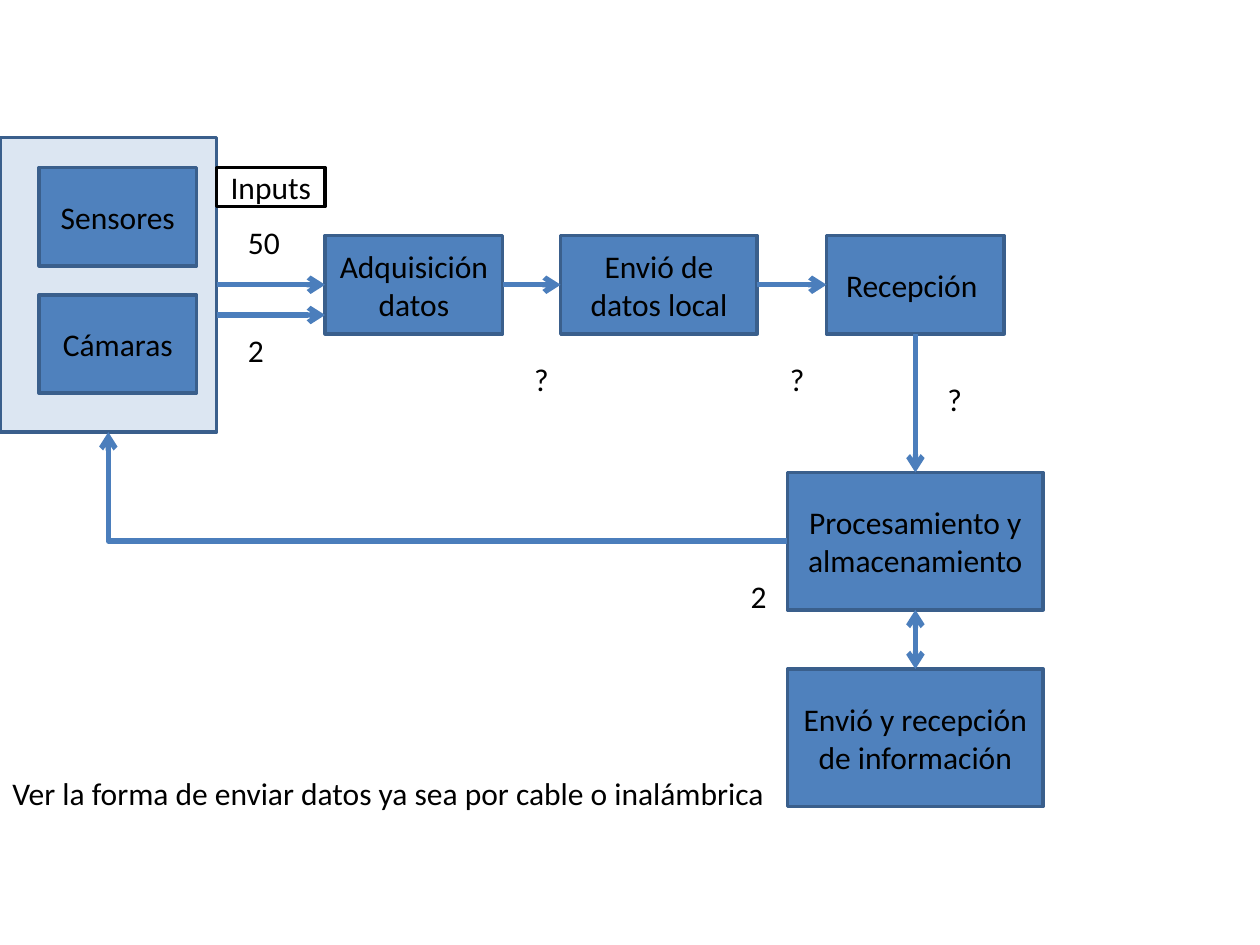
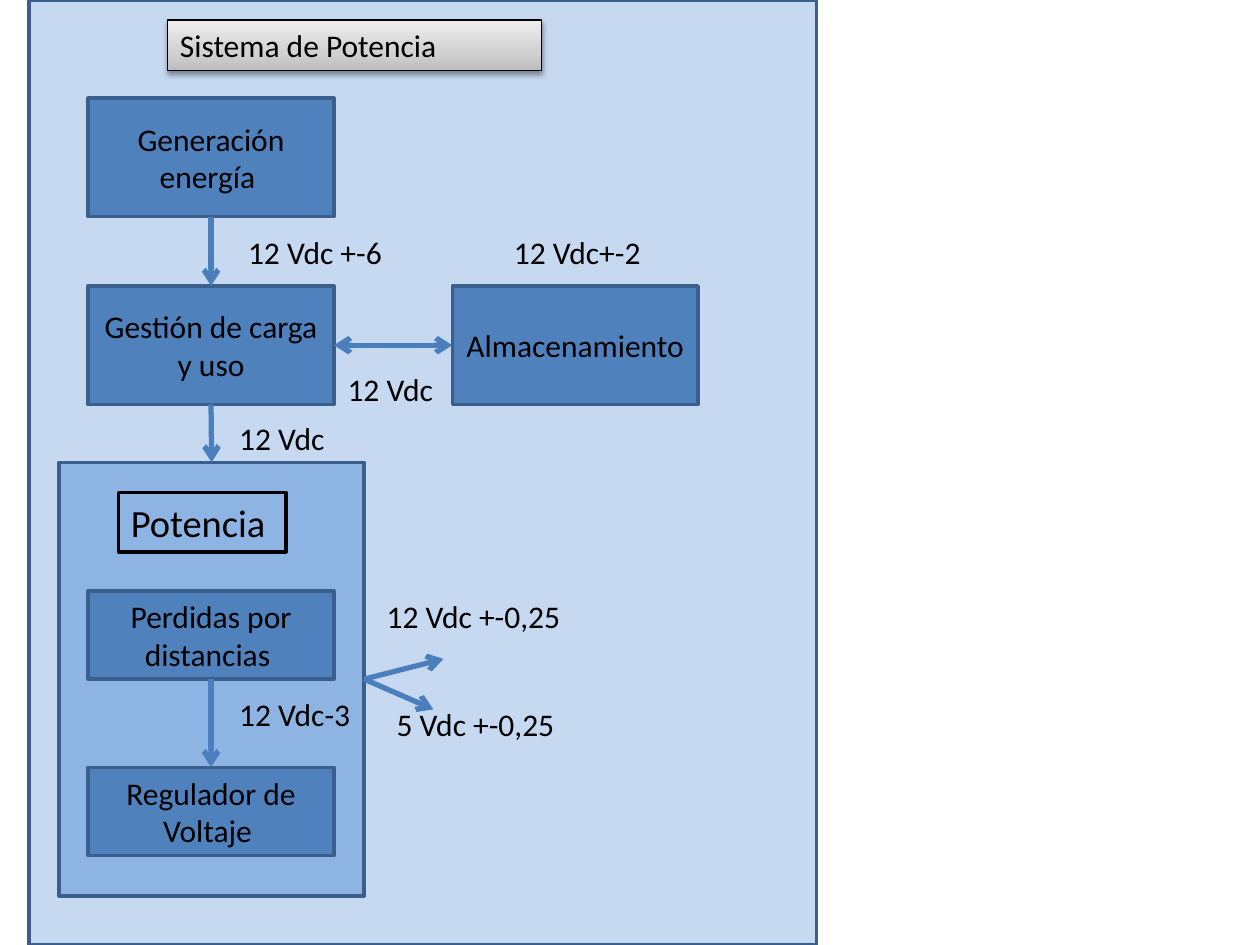
from copy import deepcopy

from lxml.etree import SubElement
from pptx import Presentation
from pptx.dml.color import RGBColor
from pptx.enum.shapes import MSO_CONNECTOR as Route, MSO_SHAPE as Preset
from pptx.enum.text import MSO_ANCHOR as Anchor, MSO_AUTO_SIZE as AutoSize, PP_ALIGN as Align
from pptx.oxml.ns import qn
from pptx.util import Inches, Pt

TOP, LEFT, BOTTOM, RIGHT = range(4)


def rgb(hex_string):
    return RGBColor.from_string(hex_string)


class Diagram:
    FONT = "Calibri"
    BLACK = "000000"
    STEP_FILL = "4F81BD"
    EDGE = "3A5F8C"
    ARROW = "4B7EBC"

    def __init__(self):
        self.deck = Presentation()
        self.deck.slide_width, self.deck.slide_height = Inches(10), Inches(7.5)
        self.slide = None

    def new_slide(self):
        self.slide = self.deck.slides.add_slide(self.deck.slide_layouts[6])

    def add_text(self, frame, text, size=18, align=Align.LEFT, anchor=Anchor.TOP):
        frame.vertical_anchor = anchor
        paragraph = frame.paragraphs[0]
        paragraph.alignment = align
        run = paragraph.add_run()
        run.text = text
        run.font.name, run.font.size = self.FONT, Pt(size)
        run.font.color.rgb = rgb(self.BLACK)

    def panel(self, left, top, width, height, fill=None, edge=EDGE, weight=2):
        """Draw a plain rectangle; without a fill it is see-through."""
        area = self.slide.shapes.add_shape(
            Preset.RECTANGLE, *map(Inches, (left, top, width, height)))
        area.shadow.inherit = False
        if fill:
            area.fill.solid()
            area.fill.fore_color.rgb = rgb(fill)
        else:
            area.fill.background()
        area.line.color.rgb = rgb(edge)
        area.line.width = Pt(weight)
        return area

    def step(self, text, left, top, width, height, fill=STEP_FILL, edge=EDGE):
        """Draw a rectangle with its text in the middle."""
        block = self.panel(left, top, width, height, fill, edge)
        self.add_text(block.text_frame, text, align=Align.CENTER, anchor=Anchor.MIDDLE)
        return block

    def label(self, text, left, top, width):
        caption = self.slide.shapes.add_textbox(*map(Inches, (left, top, width, 0.4)))
        caption.text_frame.word_wrap = False
        caption.text_frame.auto_size = AutoSize.SHAPE_TO_FIT_TEXT
        self.add_text(caption.text_frame, text)

    def heading(self, text, left, top, width, height, fill, size=18, weight=2.0):
        title = self.panel(left, top, width, height, fill, self.BLACK, weight)
        self.add_text(title.text_frame, text, size)
        return title

    def gradient(self, shape, stops):
        """Fill from bottom to top with three (position, colour) stops."""
        shape.fill.gradient()
        shape.fill.gradient_angle = 90
        first = shape._element.spPr.find(".//" + qn("a:gs"))
        first.addnext(deepcopy(first))
        for stop, (position, color) in zip(shape.fill.gradient_stops, stops):
            stop.position = position
            stop.color.rgb = rgb(color)

    def drop_shadow(self, shape):
        effects = shape._element.spPr.find(qn("a:effectLst"))
        shadow = SubElement(effects, qn("a:outerShdw"), blurRad=str(Pt(3.1)),
                            dist=str(Pt(1.6)), dir="5400000", rotWithShape="0")
        color = SubElement(shadow, qn("a:srgbClr"), val=self.BLACK)
        SubElement(color, qn("a:alpha"), val="38000")

    def arrow(self, start, end, both=False, elbow=False):
        """Join two ends, each an (x, y) point or a (shape, side) pair."""
        points = [place if isinstance(place[0], (int, float)) else (0, 0)
                  for place in (start, end)]
        link = self.slide.shapes.add_connector(
            Route.ELBOW if elbow else Route.STRAIGHT,
            *(Inches(value) for point in points for value in point))
        if points[0] != start:
            link.begin_connect(*start)
        if points[1] != end:
            link.end_connect(*end)
        link.line.color.rgb = rgb(self.ARROW)
        link.line.width = Pt(3)
        properties = link._element.spPr
        if elbow:
            properties.find(qn("a:prstGeom")).set("prst", "bentConnector2")
        outline = properties.find(qn("a:ln"))
        for tip in ("a:headEnd", "a:tailEnd") if both else ("a:tailEnd",):
            SubElement(outline, qn(tip), type="arrow")
        SubElement(properties, qn("a:effectLst"))


def data_flow(d):
    d.new_slide()
    sources = d.panel(0, 1.09, 1.72, 2.34, "DCE6F2")
    for text, top in (("Sensores", 1.33), ("Cámaras", 2.34)):
        d.step(text, 0.31, top, 1.25, 0.78)
    d.step("Inputs", 1.72, 1.33, 0.86, 0.31, None, d.BLACK)

    acquisition, sending, reception = (
        d.step(text, left, 1.87, width, 0.78) for text, left, width in (
            ("Adquisición datos", 2.58, 1.41),
            ("Envió de datos local", 4.45, 1.56),
            ("Recepción ", 6.56, 1.41)))
    processing, exchange = (
        d.step(text, 6.25, top, 2.03, 1.09) for text, top in (
            ("Procesamiento y almacenamiento", 3.75),
            ("Envió y recepción de información", 5.31)))

    row = (sources, acquisition, sending, reception)
    for before, after in zip(row, row[1:]):
        d.arrow((before, RIGHT), (after, LEFT))
    d.arrow((1.72, 2.5), (2.58, 2.5))
    d.arrow((reception, BOTTOM), (processing, TOP))
    d.arrow((processing, LEFT), (sources, BOTTOM), elbow=True)
    d.arrow((exchange, TOP), (processing, BOTTOM), both=True)

    for text, left, top, width in (
            ("50", 1.87, 1.72, 0.46),
            ("2", 1.87, 2.58, 0.33),
            ("?", 4.14, 2.81, 0.32),
            ("?", 6.17, 2.81, 0.32),
            ("?", 7.42, 2.97, 0.32),
            ("2", 5.86, 4.53, 0.33),
            ("Ver la forma de enviar datos ya sea por cable o inalámbrica", 0, 6.09, 6.24)):
        d.label(text, left, top, width)


def power_system(d):
    d.new_slide()
    d.panel(0.23, 0, 6.25, 7.5, "C6D9F1")
    power_fill = "8EB4E3"
    power = d.panel(0.47, 3.67, 2.42, 3.44, power_fill)

    generation, management, storage, losses, regulator = (
        d.step(text, left, top, 1.95, height) for text, left, top, height in (
            ("Generación energía ", 0.7, 0.78, 0.94),
            ("Gestión de carga y uso", 0.7, 2.27, 0.94),
            ("Almacenamiento", 3.59, 2.27, 0.94),
            ("Perdidas por distancias ", 0.7, 4.69, 0.7),
            ("Regulador de Voltaje ", 0.7, 6.09, 0.7)))

    for upper, lower in ((generation, management), (management, power), (losses, regulator)):
        d.arrow((upper, BOTTOM), (lower, TOP))
    d.arrow((management, RIGHT), (storage, LEFT), both=True)
    for output in ((3.52, 5.23), (3.44, 5.63)):
        d.arrow((power, RIGHT), output)

    for text, left, top, width in (
            ("12 Vdc +-6", 1.87, 1.8, 1.28),
            ("12 Vdc+-2", 3.98, 1.8, 1.22),
            ("12 Vdc", 2.66, 2.89, 0.89),
            ("12 Vdc", 1.8, 3.28, 0.89),
            ("12 Vdc +-0,25", 2.97, 4.69, 1.66),
            ("12 Vdc-3", 1.8, 5.47, 1.09),
            ("5 Vdc +-0,25", 3.05, 5.55, 1.53)):
        d.label(text, left, top, width)

    d.heading("Potencia", 0.94, 3.91, 1.33, 0.47, power_fill, size=22)
    title = d.heading("Sistema de Potencia", 1.33, 0.16, 2.97, 0.4, None, weight=0.75)
    d.gradient(title, ((0, "BDBDBD"), (0.35, "D1D1D1"), (1, "EEEEEE")))
    d.drop_shadow(title)


def main():
    diagram = Diagram()
    data_flow(diagram)
    power_system(diagram)
    diagram.deck.save("out.pptx")


if __name__ == "__main__":
    main()
